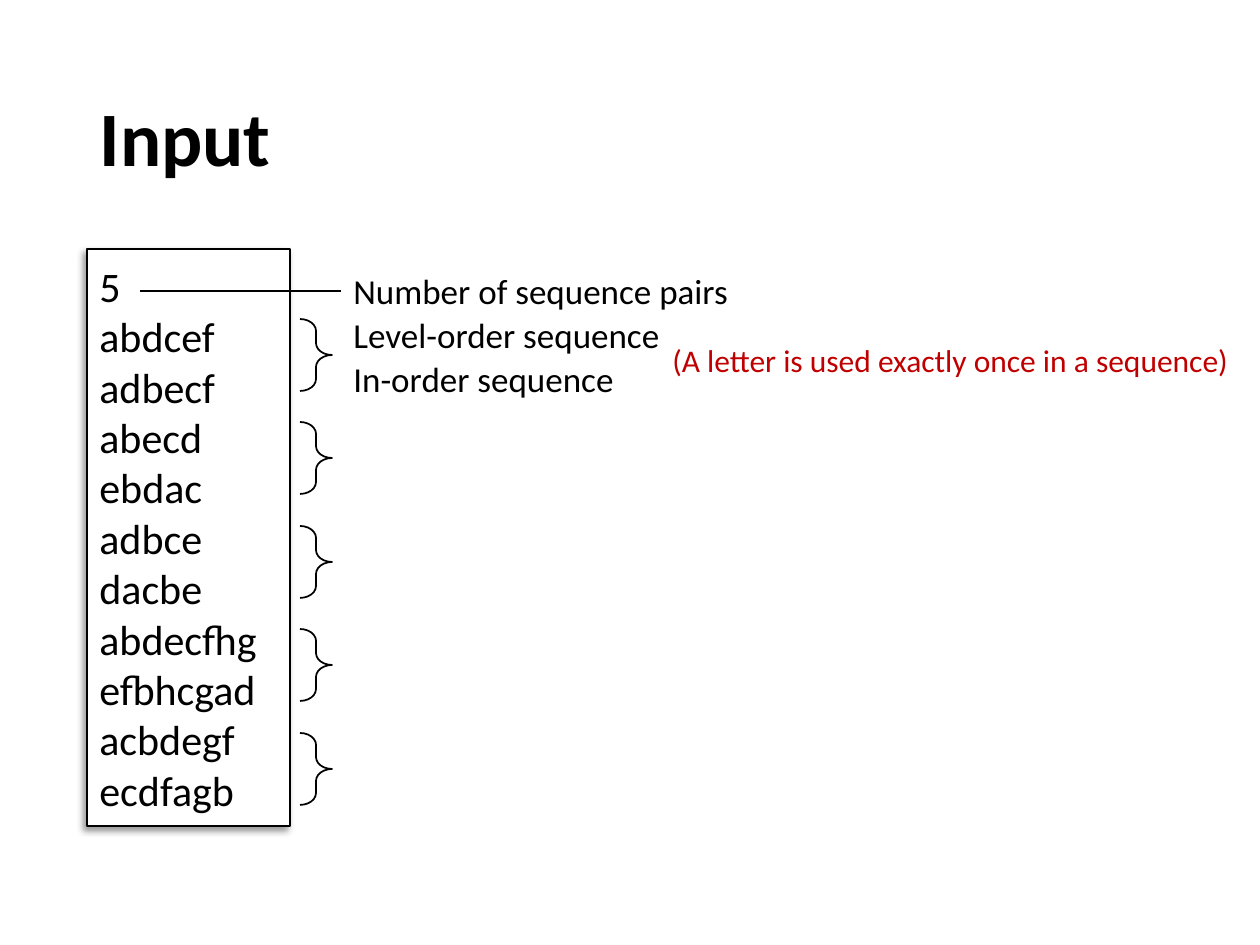
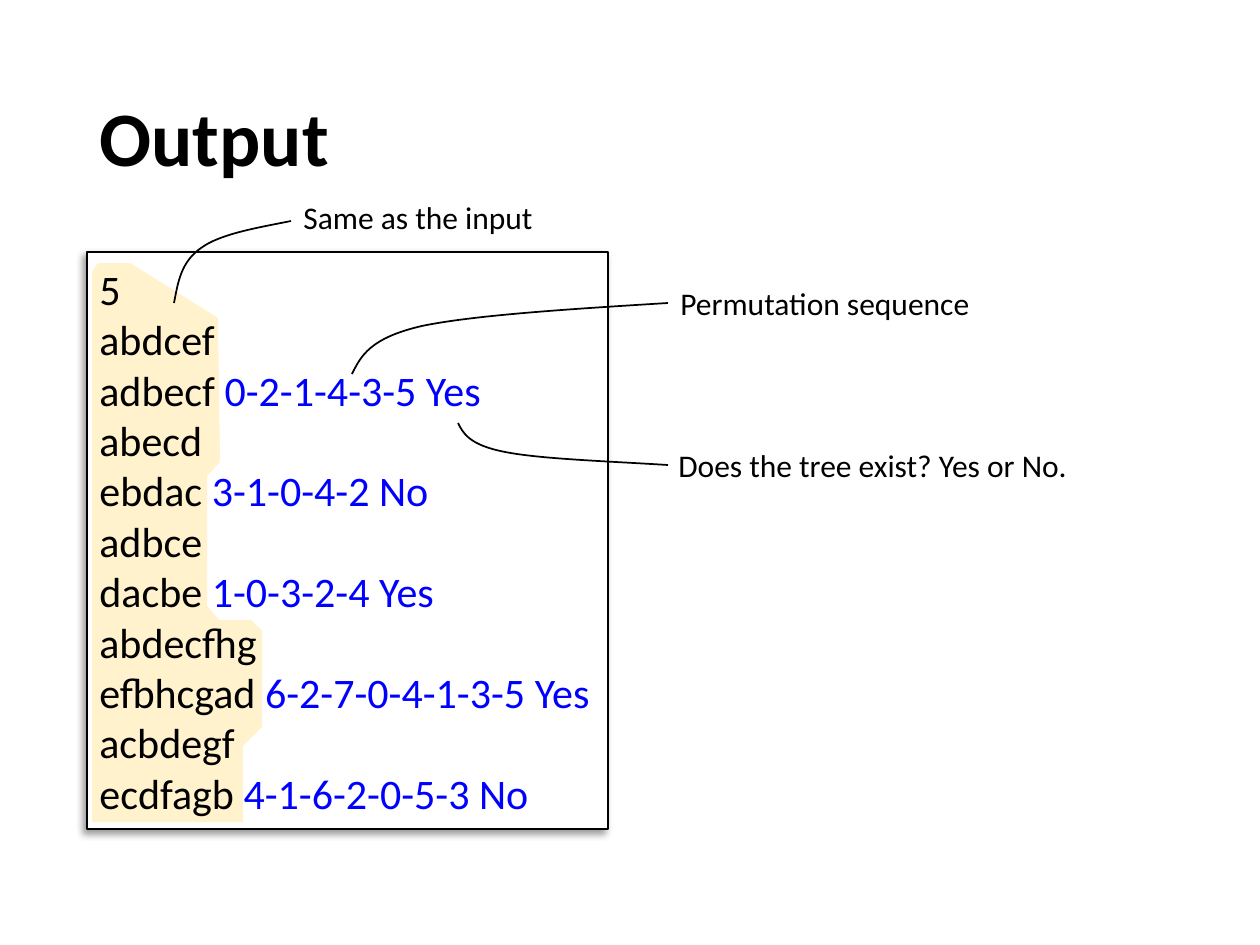
from dataclasses import dataclass

from lxml import etree
from pptx import Presentation
from pptx import util as u
from pptx.dml.color import RGBColor
from pptx.enum import shapes, text
from pptx.oxml.ns import qn

EMU_PER_PIXEL = 914400 / 126
FONT = "Calibri"
BLACK = RGBColor(0x00, 0x00, 0x00)
WHITE = RGBColor(0xFF, 0xFF, 0xFF)
RED = RGBColor(0xC0, 0x00, 0x00)
BLUE = RGBColor(0x00, 0x00, 0xFF)
CREAM = RGBColor(0xFF, 0xF2, 0xCC)


@dataclass(frozen=True)
class Box:
    left: int
    top: int
    width: int
    height: int

    def emu(self):
        return [px(n) for n in (self.left, self.top, self.width, self.height)]


@dataclass(frozen=True)
class TestCase:
    level_order: str
    in_order: str
    permutation: str
    answer: str


@dataclass(frozen=True)
class Label:
    words: str
    box: Box
    size: int = 18
    color: RGBColor = BLACK


@dataclass(frozen=True)
class Callout:
    label: Label
    curve: tuple


CASES = [
    TestCase("abdcef", "adbecf", "0-2-1-4-3-5", "Yes"),
    TestCase("abecd", "ebdac", "3-1-0-4-2", "No"),
    TestCase("adbce", "dacbe", "1-0-3-2-4", "Yes"),
    TestCase("abdecfhg", "efbhcgad", "6-2-7-0-4-1-3-5", "Yes"),
    TestCase("acbdegf", "ecdfagb", "4-1-6-2-0-5-3", "No"),
]

TITLE_BOX = Box(87, 50, 1086, 183)
INPUT_BOX = Box(87, 249, 203, 577)
OUTPUT_BOX = Box(87, 252, 521, 577)
OUTPUT_TEXT_BOX = Box(87, 252, 561, 577)

INPUT_LABELS = [
    Label(words, Box(341, 263 + 44 * row, width, 55), 20)
    for row, (words, width) in enumerate([
        ("Number of sequence pairs", 404),
        ("Level-order sequence", 335),
        ("In-order sequence", 289),
    ])
] + [
    Label("(A letter is used exactly once in a sequence)",
          Box(660, 335, 590, 50), color=RED),
]

ECHOED_INPUT_OUTLINE = [
    (98, 263), (130, 263), (218, 318), (220, 462), (207, 476),
    (207, 606), (219, 620), (251, 620), (262, 631), (262, 727),
    (243, 746), (243, 822), (92, 822), (92, 272),
]

CALLOUTS = [
    Callout(Label("Same as the input", Box(291, 192, 257, 50)),
            ((174, 303), (178, 282), (181, 262), (201, 248),
             (220, 234), (256, 228), (291, 221))),
    Callout(Label("Permutation sequence", Box(668, 278, 318, 50)),
            ((352, 374), (361, 356), (370, 338), (422, 326),
             (475, 315), (572, 309), (668, 303))),
    Callout(Label("Does the tree exist? Yes or No.", Box(666, 440, 418, 50)),
            ((458, 423), (463, 433), (469, 445), (505, 452),
             (541, 459), (604, 461), (668, 465))),
]


def px(pixels: int) -> int:
    return round(pixels * EMU_PER_PIXEL)


def add_run(paragraph, words: str, size: int, color: RGBColor,
            bold: bool = False) -> None:
    run = paragraph.add_run()
    run.text = words
    run.font.name = FONT
    run.font.size = u.Pt(size)
    run.font.bold = bold
    run.font.color.rgb = color


def set_outline(stroke) -> None:
    stroke.color.rgb = BLACK
    stroke.width = u.Pt(1)


def add_titled_slide(deck, heading: str):
    slide = deck.slides.add_slide(deck.slide_layouts[5])
    title = slide.shapes.title
    title.left, title.top, title.width, title.height = TITLE_BOX.emu()
    frame = title.text_frame
    frame.vertical_anchor = text.MSO_ANCHOR.MIDDLE
    paragraph = frame.paragraphs[0]
    paragraph.alignment = text.PP_ALIGN.LEFT
    paragraph.line_spacing = 0.9
    add_run(paragraph, heading, 44, BLACK, bold=True)
    return slide


def add_panel(slide, box: Box):
    panel = slide.shapes.add_shape(shapes.MSO_SHAPE.RECTANGLE, *box.emu())
    panel.fill.solid()
    panel.fill.fore_color.rgb = WHITE
    set_outline(panel.line)
    panel.shadow.inherit = False
    effects = panel._element.spPr.find(qn("a:effectLst"))
    shadow = etree.SubElement(effects, qn("a:outerShdw"), blurRad="50800",
                              dist="38100", dir="8100000", algn="tr",
                              rotWithShape="0")
    tint = etree.SubElement(shadow, qn("a:srgbClr"), val=str(BLACK))
    etree.SubElement(tint, qn("a:alpha"), val="40000")
    return panel


def write_cases(frame, with_results: bool) -> None:
    frame.word_wrap = True
    frame.vertical_anchor = text.MSO_ANCHOR.MIDDLE
    rows = [(str(len(CASES)), "")]
    for case in CASES:
        result = f"{case.permutation} {case.answer}" if with_results else ""
        rows += [(case.level_order, ""), (case.in_order, result)]
    for index, (sequence, result) in enumerate(rows):
        paragraph = frame.add_paragraph() if index else frame.paragraphs[0]
        paragraph.alignment = text.PP_ALIGN.LEFT
        add_run(paragraph, sequence + (" " if result else ""), 24, BLACK)
        if result:
            add_run(paragraph, result, 24, BLUE)


def add_label(slide, label: Label) -> None:
    frame = slide.shapes.add_textbox(*label.box.emu()).text_frame
    frame.word_wrap = False
    frame.auto_size = text.MSO_AUTO_SIZE.SHAPE_TO_FIT_TEXT
    add_run(frame.paragraphs[0], label.words, label.size, label.color)


def add_pair_brace(slide, box: Box) -> None:
    brace = slide.shapes.add_shape(shapes.MSO_SHAPE.RIGHT_BRACE, *box.emu())
    brace.adjustments[0] = 0.374
    brace.adjustments[1] = 0.5
    brace.fill.background()
    set_outline(brace.line)
    brace.shadow.inherit = False


def add_pointer(slide, start: tuple, end: tuple) -> None:
    pointer = slide.shapes.add_connector(
        shapes.MSO_CONNECTOR.STRAIGHT, *map(px, start + end))
    set_outline(pointer.line)
    etree.SubElement(pointer._element.spPr, qn("a:effectLst"))


def add_outline(slide, points, close: bool):
    corners = [(px(x), px(y)) for x, y in points]
    builder = slide.shapes.build_freeform(*corners[0])
    builder.add_line_segments(corners[1:], close=close)
    outline = builder.convert_to_shape()
    outline.shadow.inherit = False
    return outline


def add_curve(slide, points: tuple) -> None:
    curve = add_outline(slide, points, close=False)
    curve.fill.background()
    set_outline(curve.line)
    geometry = curve._element.find(".//" + qn("a:path"))
    segments = geometry.findall(qn("a:lnTo"))
    for first in range(0, len(segments), 3):
        bezier = etree.SubElement(geometry, qn("a:cubicBezTo"))
        for segment in segments[first:first + 3]:
            bezier.append(segment[0])
            geometry.remove(segment)


def build_input_slide(deck) -> None:
    slide = add_titled_slide(deck, "Input")
    write_cases(add_panel(slide, INPUT_BOX).text_frame, with_results=False)
    for row in range(len(CASES)):
        add_pair_brace(slide, Box(300, 319 + row * 207 // 2, 32, 72))
    for label in INPUT_LABELS:
        add_label(slide, label)
    add_pointer(slide, (140, 291), (341, 291))


def build_output_slide(deck) -> None:
    slide = add_titled_slide(deck, "Output")
    add_panel(slide, OUTPUT_BOX)
    echoed_input = add_outline(slide, ECHOED_INPUT_OUTLINE, close=True)
    echoed_input.fill.solid()
    echoed_input.fill.fore_color.rgb = CREAM
    echoed_input.line.fill.background()
    transcript = slide.shapes.add_textbox(*OUTPUT_TEXT_BOX.emu())
    write_cases(transcript.text_frame, with_results=True)
    for callout in CALLOUTS:
        add_curve(slide, callout.curve)
        add_label(slide, callout.label)


deck = Presentation()
deck.slide_width = px(1260)
deck.slide_height = px(945)
build_input_slide(deck)
build_output_slide(deck)
deck.save("out.pptx")
